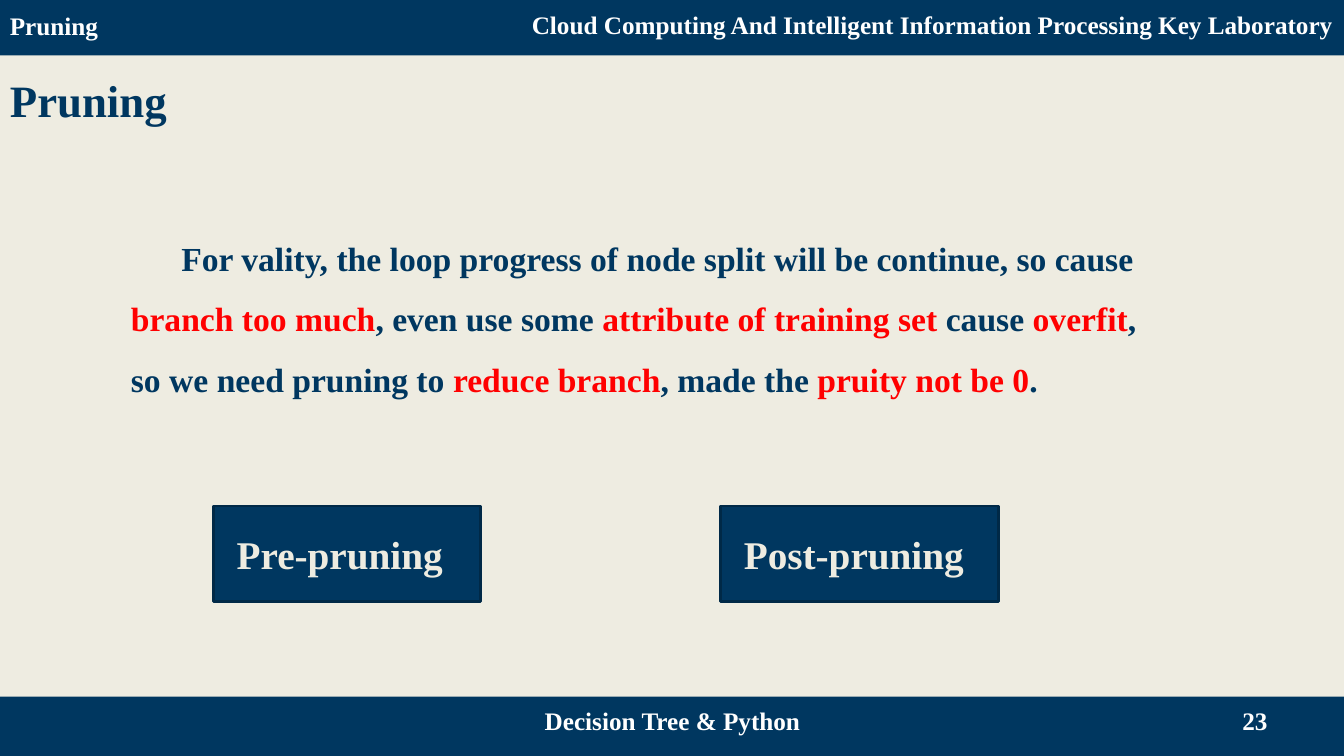
from pptx import Presentation
from pptx.dml.color import RGBColor as RGB
from pptx.enum.shapes import MSO_SHAPE as Shape
from pptx.enum.text import MSO_ANCHOR as Anchor, MSO_AUTO_SIZE as Fit, PP_ALIGN as Align
from pptx.util import Pt

PX = 9144
SIZE = 1333, 750
THEME = {
    "font": "Times New Roman",
    "back": "EEECE1", "navy": "003760", "edge": "002947",
    "white": "FFFFFF", "red": "FF0000",
    "small": 18, "body": 24, "label": 28, "title": 32,
}

BARS = [(-4, "Pruning"), (691, "")]
BAR_H = 59
NOTES = [
    ("Cloud Computing And Intelligent Information Processing Key Laboratory",
     (391, 4, 941, 40), Align.RIGHT),
    ("Decision Tree & Python", (456, 695, 422, 40), Align.CENTER),
    ("23", (956, 695, 311, 40), Align.RIGHT),
]
TITLE = "Pruning", (0, 57, 868, 74)
BODY_BOX = 120, 211, 1032, 190
INDENT = 50
BODY = [
    ("For vality, the loop progress of node split will be continue, so cause ", "navy"),
    ("branch too much", "red"),
    (", even use some ", "navy"),
    ("attribute of training set", "red"),
    (" cause ", "navy"),
    ("overfit", "red"),
    (", so we need pruning to ", "navy"),
    ("reduce branch", "red"),
    (", made the ", "navy"),
    ("pruity not be 0", "red"),
    (".", "navy"),
]
KINDS = [("Pre-pruning", 212, 265, 224), ("Post-pruning", 715, 275, 238)]
KIND_Y, KIND_H = 502, 95
PAD_X, PAD_Y = 13, 19


def color(name):
    return RGB.from_string(THEME[name])


def emu(box):
    return [n * PX for n in box]


def apply(item, form):
    for key, val in form.items():
        setattr(item, key, val)


def write(shape, runs, size, frame=None, para=None):
    text = shape.text_frame
    apply(text, {"word_wrap": True, "vertical_anchor": Anchor.TOP, **(frame or {})})
    line = text.paragraphs[0]
    apply(line, {"alignment": Align.LEFT, **(para or {})})
    for words, tone in runs:
        run = line.add_run()
        run.text = words
        apply(run.font, {"name": THEME["font"], "size": Pt(THEME[size]), "bold": True})
        run.font.color.rgb = color(tone)
    return line


def block(slide, box, edge=None):
    shape = slide.shapes.add_shape(Shape.RECTANGLE, *emu(box))
    shape.shadow.inherit = False
    shape.fill.solid()
    shape.fill.fore_color.rgb = color("navy")
    if edge:
        shape.line.color.rgb = color(edge)
        shape.line.width = Pt(2)
    else:
        shape.line.fill.background()
    return shape


def label(slide, box, *args):
    return write(slide.shapes.add_textbox(*emu(box)), *args)


def main():
    deck = Presentation()
    deck.slide_width, deck.slide_height = emu(SIZE)
    slide = deck.slides.add_slide(deck.slide_layouts[6])
    slide.background.fill.solid()
    slide.background.fill.fore_color.rgb = color("back")
    mid = {"vertical_anchor": Anchor.MIDDLE}
    grow = {"word_wrap": False, "auto_size": Fit.SHAPE_TO_FIT_TEXT}

    for top, words in BARS:
        bar = block(slide, (0, top, SIZE[0], BAR_H))
        if words:
            write(bar, [(words, "white")], "small", mid)

    line = label(slide, BODY_BOX, BODY, "body", None, {"line_spacing": 1.5})
    line._p.get_or_add_pPr().set("indent", str(INDENT * PX))

    for words, left, width, span in KINDS:
        block(slide, (left, KIND_Y, width, KIND_H), "edge")
        box = left + PAD_X, KIND_Y + PAD_Y, span, KIND_H - 2 * PAD_Y
        label(slide, box, [(words, "back")], "label", grow)

    for words, box, side in NOTES:
        label(slide, box, [(words, "white")], "small", mid, {"alignment": side})

    words, box = TITLE
    label(slide, box, [(words, "navy")], "title", None, {"line_spacing": 1.2})
    deck.save("out.pptx")


if __name__ == "__main__":
    main()
